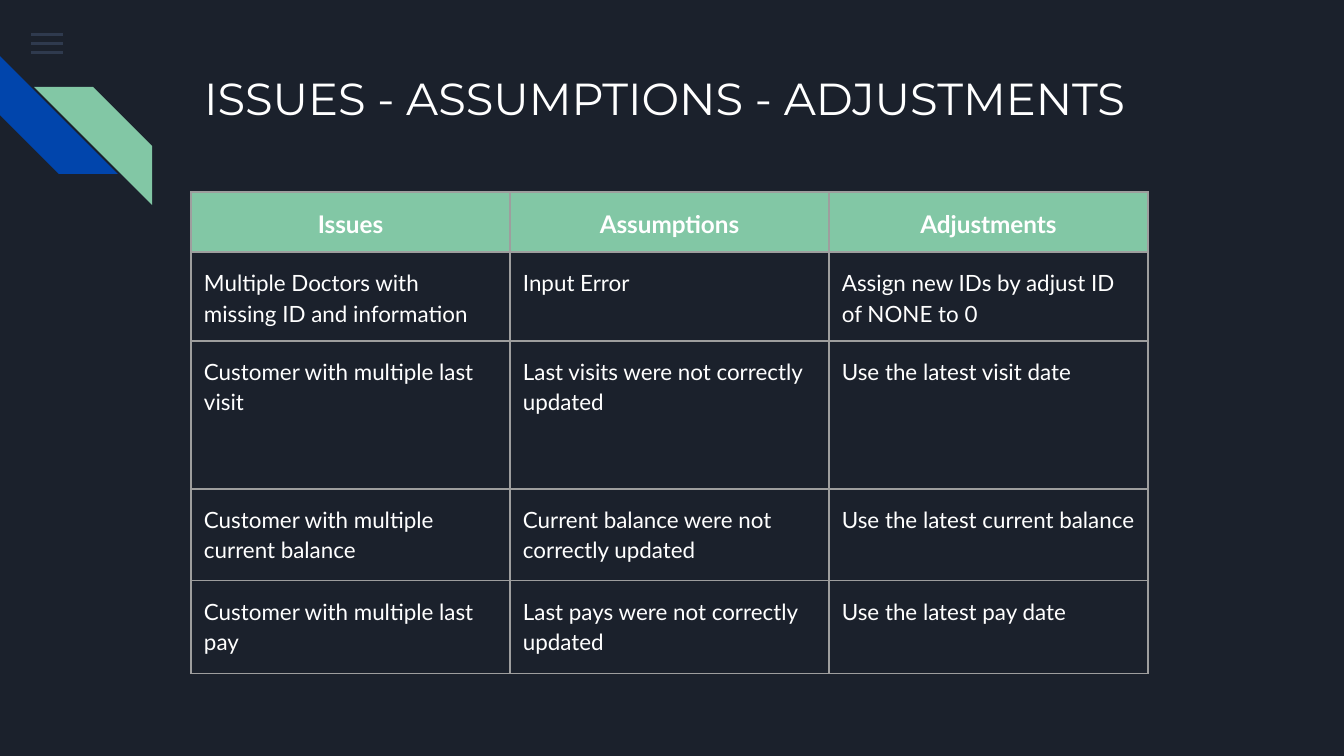
"""Build the slide on issues, assumptions and adjustments."""
import pptx
import pptx.dml.color
import pptx.enum.shapes
import pptx.enum.text
import pptx.oxml.ns
import pptx.util
from lxml import etree

RGBColor = pptx.dml.color.RGBColor
MSO_SHAPE = pptx.enum.shapes.MSO_SHAPE
PP_ALIGN = pptx.enum.text.PP_ALIGN
MSO_ANCHOR = pptx.enum.text.MSO_ANCHOR
qn = pptx.oxml.ns.qn

SCALE = 914400 / 134.4
NAVY = RGBColor(0x1B, 0x21, 0x2C)
SLATE = RGBColor(0x55, 0x68, 0x8B)
BLUE = RGBColor(0x01, 0x45, 0xAC)
GREEN = RGBColor(0x82, 0xC7, 0xA5)
GRAY = RGBColor(0x9E, 0x9E, 0x9E)
WHITE = RGBColor(0xFF, 0xFF, 0xFF)

COL_WIDTH = 319
ROW_HEIGHTS = [60, 89, 148, 92, 93]
ROWS = [
    ["Issues", "Assumptions", "Adjustments"],
    ["Multiple Doctors with missing ID and information", "Input Error",
     "Assign new IDs by adjust ID of NONE to 0"],
    ["Customer with multiple last visit",
     "Last visits were not correctly updated", "Use the latest visit date"],
    ["Customer with multiple current balance",
     "Current balance were not correctly updated",
     "Use the latest current balance"],
    ["Customer with multiple last pay",
     "Last pays were not correctly updated", "Use the latest pay date"],
]


def px(n):
    return pptx.util.Emu(round(n * SCALE))


def set_font(p, name, size, bold=False):
    p.font.name = name
    p.font.size = pptx.util.Pt(size)
    p.font.bold = bold
    p.font.color.rgb = WHITE


def set_margins(obj, n):
    obj.margin_left = obj.margin_right = px(n)
    obj.margin_top = obj.margin_bottom = px(n)


def add_block(s, kind, x, y, w, h, color, rotation=0):
    sp = s.shapes.add_shape(kind, px(x), px(y), px(w), px(h))
    sp.shadow.inherit = False
    sp.fill.solid()
    sp.fill.fore_color.rgb = color
    sp.line.fill.background()
    sp.rotation = rotation
    return sp


def add_menu_icon(s):
    for y in range(33, 52, 9):
        sp = add_block(s, MSO_SHAPE.RECTANGLE, 31, y, 32, 3, SLATE)
        clr = sp.fill._xPr.find(".//" + qn("a:srgbClr"))
        etree.SubElement(clr, qn("a:alpha"), val="36000")


def add_stripes(s):
    for x, y, color, rotation in [(0, 56, BLUE, 270), (34, 87, GREEN, 90)]:
        sp = add_block(s, MSO_SHAPE.DIAGONAL_STRIPE, x, y, 118, 118, color, rotation)
        sp.adjustments[0] = 0.5


def set_title(s, text):
    sp = s.shapes.title
    sp.left, sp.top, sp.width, sp.height = px(191), px(58), px(958), px(134)
    tf = sp.text_frame
    tf.text = text
    tf.word_wrap = True
    tf.auto_size = pptx.enum.text.MSO_AUTO_SIZE.NONE
    tf.vertical_anchor = MSO_ANCHOR.TOP
    set_margins(tf, 13)
    p = tf.paragraphs[0]
    p.alignment = PP_ALIGN.LEFT
    set_font(p, "Montserrat", 24)


def set_borders(cell):
    tc_pr = cell._tc.get_or_add_tcPr()
    for side in ("lnL", "lnR", "lnT", "lnB"):
        ln = etree.SubElement(tc_pr, qn("a:" + side), w=str(pptx.util.Pt(0.75)))
        fill = etree.SubElement(ln, qn("a:solidFill"))
        etree.SubElement(fill, qn("a:srgbClr"), val=str(GRAY))


def fill_cell(cell, text, header):
    cell.text = text
    set_margins(cell, 13)
    cell.vertical_anchor = MSO_ANCHOR.TOP
    set_borders(cell)
    p = cell.text_frame.paragraphs[0]
    p.line_spacing = 1.15
    if header:
        cell.fill.solid()
        cell.fill.fore_color.rgb = GREEN
        p.alignment = PP_ALIGN.CENTER
    else:
        cell.fill.background()
        p.alignment = PP_ALIGN.LEFT
    set_font(p, "Lato", 13 if header else 12, header)


def add_issue_table(s):
    n_cols = len(ROWS[0])
    frame = s.shapes.add_table(len(ROWS), n_cols, px(191), px(192),
                               px(COL_WIDTH * n_cols), px(sum(ROW_HEIGHTS)))
    table = frame.table
    table.horz_banding = False
    table.first_row = False
    for col in table.columns:
        col.width = px(COL_WIDTH)
    for i, (height, texts) in enumerate(zip(ROW_HEIGHTS, ROWS)):
        table.rows[i].height = px(height)
        for j, text in enumerate(texts):
            fill_cell(table.cell(i, j), text, i == 0)


def main():
    prs = pptx.Presentation()
    prs.slide_width, prs.slide_height = px(1344), px(756)
    s = prs.slides.add_slide(prs.slide_layouts[5])
    s.background.fill.solid()
    s.background.fill.fore_color.rgb = NAVY
    add_menu_icon(s)
    add_stripes(s)
    set_title(s, "ISSUES - ASSUMPTIONS - ADJUSTMENTS")
    add_issue_table(s)
    prs.save("out.pptx")


if __name__ == "__main__":
    main()
